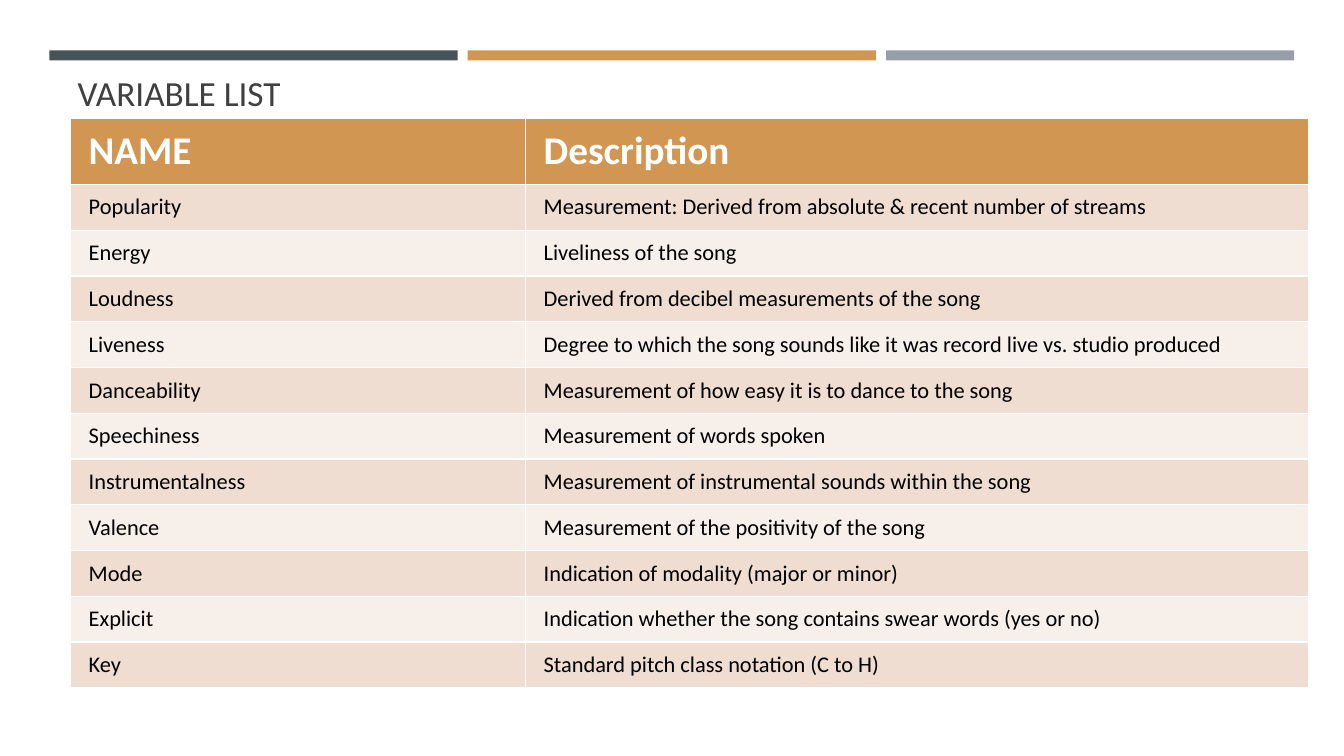
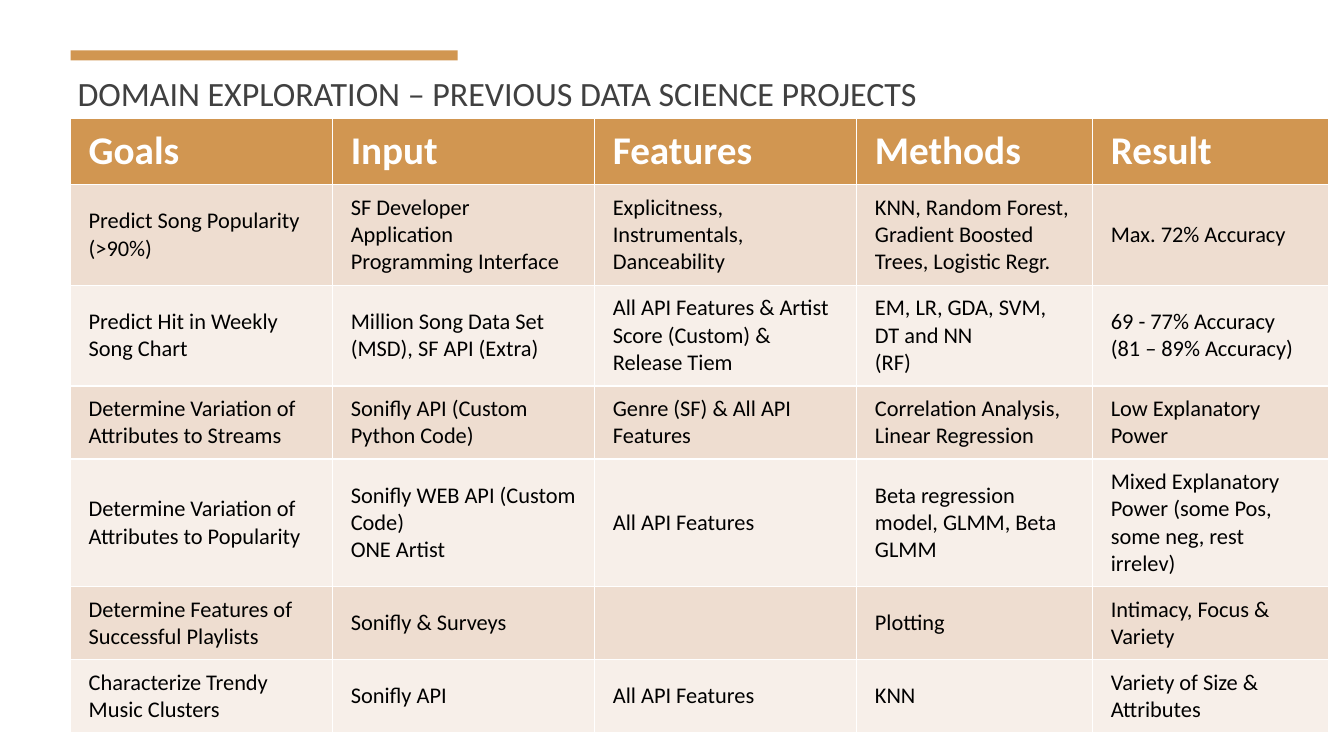
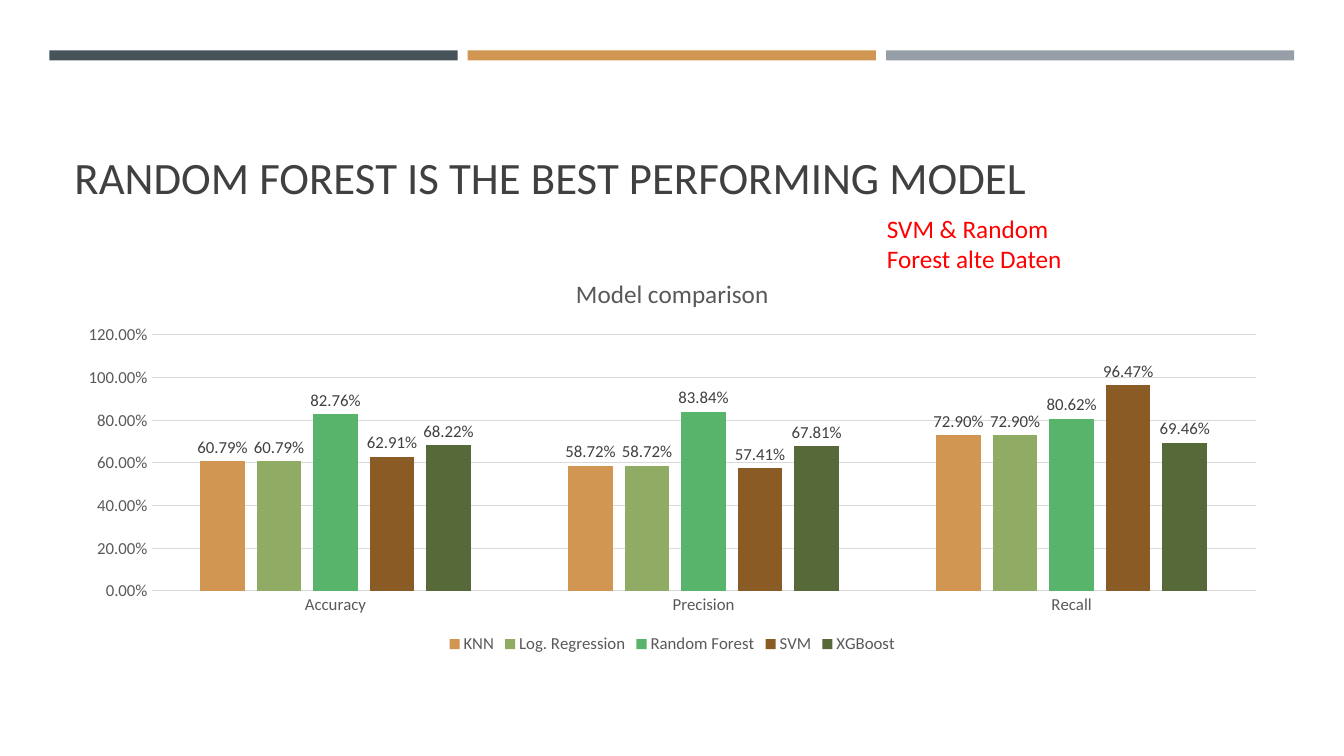
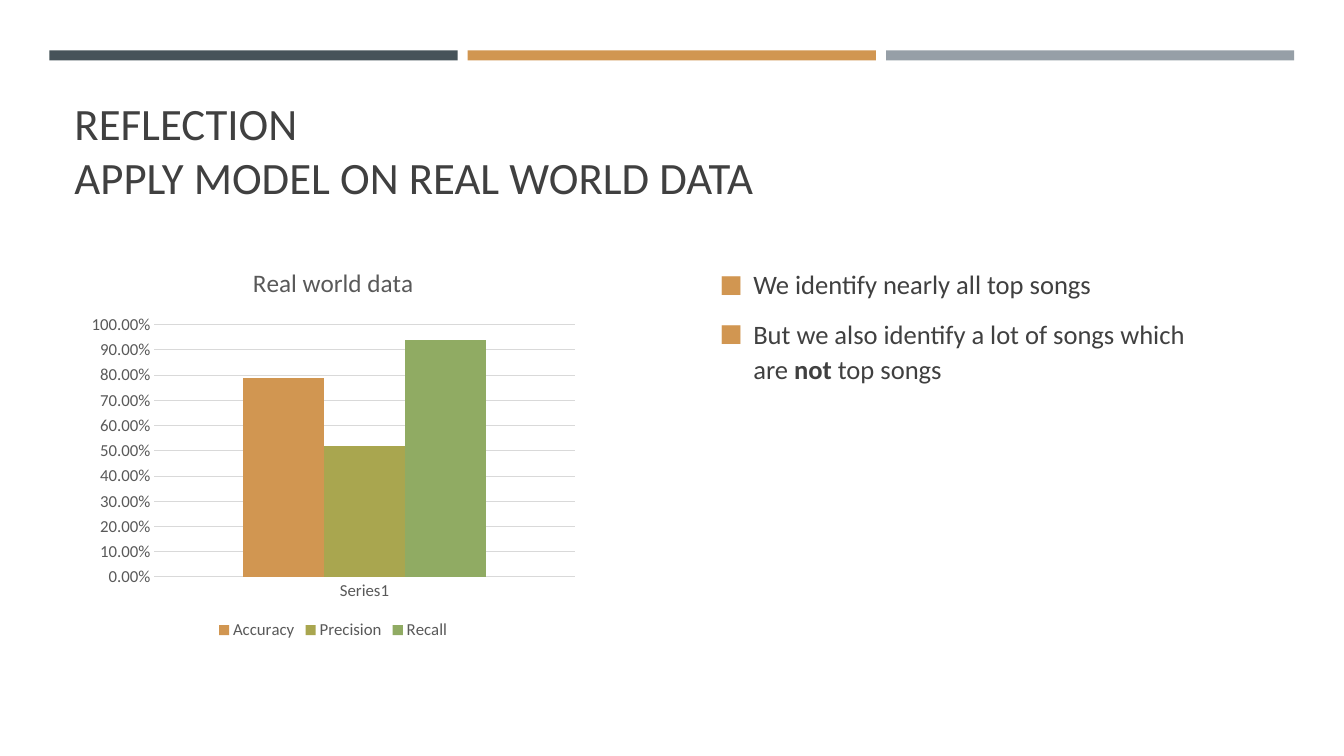
"""Build four slides on song variables, earlier projects and model results."""
from lxml.etree import SubElement
from pptx import Presentation
from pptx.chart.data import CategoryChartData as Data
from pptx.dml.color import RGBColor as Rgb
from pptx.enum.chart import XL_CHART_TYPE as Kind, XL_LABEL_POSITION as Spot
from pptx.enum.chart import XL_LEGEND_POSITION as Side, XL_TICK_MARK as Tick
from pptx.enum.shapes import MSO_SHAPE as Form
from pptx.enum.text import MSO_ANCHOR as Anchor, MSO_AUTO_SIZE as Fit
from pptx.oxml.ns import qn
from pptx.util import Pt

FONT = "Calibri"
HUES = {
    "slate": "465359", "amber": "D19651", "steel": "969FA7",
    "ink": "404040", "grey": "595959", "rule": "D9D9D9",
    "black": "000000", "white": "FFFFFF", "red": "FF0000",
    "sand": "EEDDD0", "cream": "F7EFE9", "olive": "A9A64F",
    "sage": "90AB63", "green": "58B46B", "brown": "8A5B24", "moss": "576939",
}
RGB = {name: Rgb.from_string(code) for name, code in HUES.items()}
BANDS = [(35.3 + 298.8 * i, 291.6, hue)
         for i, hue in enumerate(("slate", "amber", "steel"))]


def write(frame, text, size=16, hue="black", bold=False, anchor=Anchor.TOP,
          lead=1.0, before=0, after=0, bullet=None):
    """Fill a frame: newlines split paragraphs, asterisks mark bold words."""
    frame.word_wrap = True
    frame.vertical_anchor = anchor
    for i, line in enumerate(text.split("\n")):
        para = frame.add_paragraph() if i else frame.paragraphs[0]
        para.line_spacing = lead
        para.space_before, para.space_after = Pt(before), Pt(after)
        for j, part in enumerate(line.split("*")):
            run = para.add_run()
            run.text = part
            run.font.name, run.font.size = FONT, Pt(size)
            run.font.bold = bold or j % 2 == 1
            run.font.color.rgb = RGB[hue]
        if bullet:
            props = para._p.get_or_add_pPr()
            props.set("marL", str(Pt(24)))
            props.set("indent", str(-Pt(24)))
            tint = SubElement(props, qn("a:buClr"))
            SubElement(tint, qn("a:srgbClr"), val=HUES["amber"])
            SubElement(props, qn("a:buSzPct"), val="92000")
            SubElement(props, qn("a:buFont"), typeface=FONT)
            SubElement(props, qn("a:buChar"), char=bullet)


def start(title, box, size=32, lead=1.0, layout=5, bands=BANDS):
    """Add a slide with its colour bands and title."""
    slide = deck.slides.add_slide(deck.slide_layouts[layout])
    for left, width, hue in bands:
        band = slide.shapes.add_shape(
            Form.RECTANGLE, Pt(left), Pt(36), Pt(width), Pt(7.2))
        band.shadow.inherit = False
        band.fill.solid()
        band.fill.fore_color.rgb = RGB[hue]
        band.line.fill.background()
    head = slide.shapes.title
    head.left, head.top, head.width, head.height = map(Pt, box)
    head.text_frame.auto_size = Fit.NONE
    write(head.text_frame, title, size=size, hue="ink", lead=lead,
          anchor=Anchor.BOTTOM)
    return slide


deck = Presentation()
deck.slide_width, deck.slide_height = Pt(960), Pt(540)
SLIM = (48.2, 55.4, 900, 29.5)
TALL = (46, 55.4, 868.3, 93.6)

songs = [
    ("NAME", "Description"),
    ("Popularity",
     "Measurement: Derived from absolute & recent number of streams"),
    ("Energy", "Liveliness of the song"),
    ("Loudness", "Derived from decibel measurements of the song"),
    ("Liveness", "Degree to which the song sounds like it was record live "
     "vs. studio produced"),
    ("Danceability", "Measurement of how easy it is to dance to the song"),
    ("Speechiness", "Measurement of words spoken"),
    ("Instrumentalness", "Measurement of instrumental sounds within the song"),
    ("Valence", "Measurement of the positivity of the song"),
    ("Mode", "Indication of modality (major or minor)"),
    ("Explicit",
     "Indication whether the song contains swear words (yes or no)"),
    ("Key", "Standard pitch class notation (C to H)"),
]
works = [
    ("Goals", "Input", "Features", "Methods", "Result"),
    ("Predict Song Popularity (>90%)",
     "SF Developer Application Programming Interface",
     "Explicitness, Instrumentals, Danceability",
     "KNN, Random Forest, Gradient Boosted Trees, Logistic Regr.",
     "Max. 72% Accuracy"),
    ("Predict Hit in Weekly Song Chart",
     "Million Song Data Set (MSD), SF API (Extra)",
     "All API Features & Artist Score (Custom) & Release Tiem",
     "EM, LR, GDA, SVM, DT and NN\n(RF)",
     "69 - 77% Accuracy\n(81 – 89% Accuracy)"),
    ("Determine Variation of Attributes to Streams",
     "Sonifly API (Custom Python Code)",
     "Genre (SF) & All API Features",
     "Correlation Analysis, Linear Regression",
     "Low Explanatory Power"),
    ("Determine Variation of Attributes to Popularity",
     "Sonifly WEB API (Custom Code)\nONE Artist",
     "All API Features",
     "Beta regression model, GLMM, Beta GLMM",
     "Mixed Explanatory Power (some Pos, some neg, rest irrelev)"),
    ("Determine Features of Successful Playlists",
     "Sonifly & Surveys", "", "Plotting", "Intimacy, Focus & Variety"),
    ("Characterize Trendy Music Clusters",
     "Sonifly API", "All API Features", "KNN",
     "Variety of Size & Attributes"),
]
first = start("VARIABLE LIST", SLIM, size=25.2, lead=0.9)
second = start("DOMAIN EXPLORATION – PREVIOUS DATA SCIENCE PROJECTS", SLIM,
               size=24.3, lead=0.9, bands=[(50.4, 276.5, "amber")])

for slide, rows, wide, high in (
    (first, songs, [325, 559], [47] + [32.7] * 11),
    (second, works, [187.2] * 3 + [168.5] * 2, [47, 72, 72, 52, 91, 52, 52]),
):
    grid = slide.shapes.add_table(
        len(rows), len(wide), Pt(50.4), Pt(84.5),
        Pt(sum(wide)), Pt(sum(high))).table
    for col, width in zip(grid.columns, wide):
        col.width = Pt(width)
    for r, row in enumerate(rows):
        grid.rows[r].height = Pt(high[r])
        for c, text in enumerate(row):
            cell = grid.cell(r, c)
            cell.margin_left = cell.margin_right = Pt(13)
            cell.margin_top = cell.margin_bottom = Pt(6.5)
            cell.fill.solid()
            hue = "amber" if r == 0 else "sand" if r % 2 else "cream"
            cell.fill.fore_color.rgb = RGB[hue]
            if r == 0:
                write(cell.text_frame, text, size=28, hue="white", bold=True)
            elif text:
                write(cell.text_frame, text)
                cell.vertical_anchor = Anchor.MIDDLE

third = start("RANDOM FOREST IS THE BEST PERFORMING MODEL", TALL)
fourth = start("REFLECTION\nAPPLY MODEL ON REAL WORLD DATA", TALL, layout=1)

models = [
    ("KNN", (0.6079, 0.5872, 0.729), "amber"),
    ("Log. Regression", (0.6079, 0.5872, 0.729), "sage"),
    ("Random Forest", (0.8276, 0.8384, 0.8062), "green"),
    ("SVM", (0.6291, 0.5741, 0.9647), "brown"),
    ("XGBoost", (0.6822, 0.6781, 0.6946), "moss"),
]
scores = [
    ("Accuracy", (0.79,), "amber"),
    ("Precision", (0.52,), "olive"),
    ("Recall", (0.94,), "sage"),
]
for slide, title, box, cats, rows, lap, top, step, tags in (
    (third, "Model comparison", (46, 184.3, 868.3, 285.8),
     ("Accuracy", "Precision", "Recall"), models, -27, 1.2, 0.2, True),
    (fourth, "Real world data", (58.3, 177.1, 359.3, 283),
     ("Series1",), scores, 0, 1, 0.1, False),
):
    data = Data(number_format="0.00%")
    data.categories = cats
    for name, vals, hue in rows:
        data.add_series(name, vals)
    chart = slide.shapes.add_chart(
        Kind.COLUMN_CLUSTERED, *map(Pt, box), data).chart
    chart.font.name, chart.font.size = FONT, Pt(12)
    chart.font.color.rgb = RGB["grey"]
    write(chart.chart_title.text_frame, title, size=18, hue="grey")
    chart.chart_title.include_in_layout = False
    chart.has_legend = True
    chart.legend.position = Side.BOTTOM
    chart.legend.include_in_layout = False
    x, y = chart.category_axis, chart.value_axis
    x.major_tick_mark = y.major_tick_mark = Tick.NONE
    y.minimum_scale, y.maximum_scale, y.major_unit = 0, top, step
    y.tick_labels.number_format = "0.00%"
    y.tick_labels.number_format_is_linked = False
    y.format.line.fill.background()
    for line in (x.format.line, y.major_gridlines.format.line):
        line.color.rgb = RGB["rule"]
        line.width = Pt(0.75)
    plot = chart.plots[0]
    plot.vary_by_categories = False
    plot.gap_width, plot.overlap = 219, lap
    for bars, (name, vals, hue) in zip(plot.series, rows):
        bars.format.fill.solid()
        bars.format.fill.fore_color.rgb = RGB[hue]
        if tags:
            label = bars.data_labels
            label.show_value = True
            label.position = Spot.OUTSIDE_END
            label.number_format = "0.00%"
            label.number_format_is_linked = False
            label.font.name, label.font.size = FONT, Pt(12)
            label.font.color.rgb = RGB["ink"]

note = third.shapes.add_textbox(Pt(626.4), Pt(149), Pt(139), Pt(51))
write(note.text_frame, "SVM & Random Forest alte Daten", size=18, hue="red")

body = fourth.placeholders[1]
body.left, body.top, body.width, body.height = map(
    Pt, (506.9, 185.8, 362.9, 132.5))
body.text_frame.auto_size = Fit.NONE
write(body.text_frame, "We identify nearly all top songs\nBut we also identify "
      "a lot of songs which are *not* top songs",
      size=19, hue="ink", lead=1.1, before=4, after=6, bullet="■")
for slide in deck.slides:
    for para in slide.shapes.title.text_frame.paragraphs:
        para.alignment = 1

deck.save("out.pptx")
